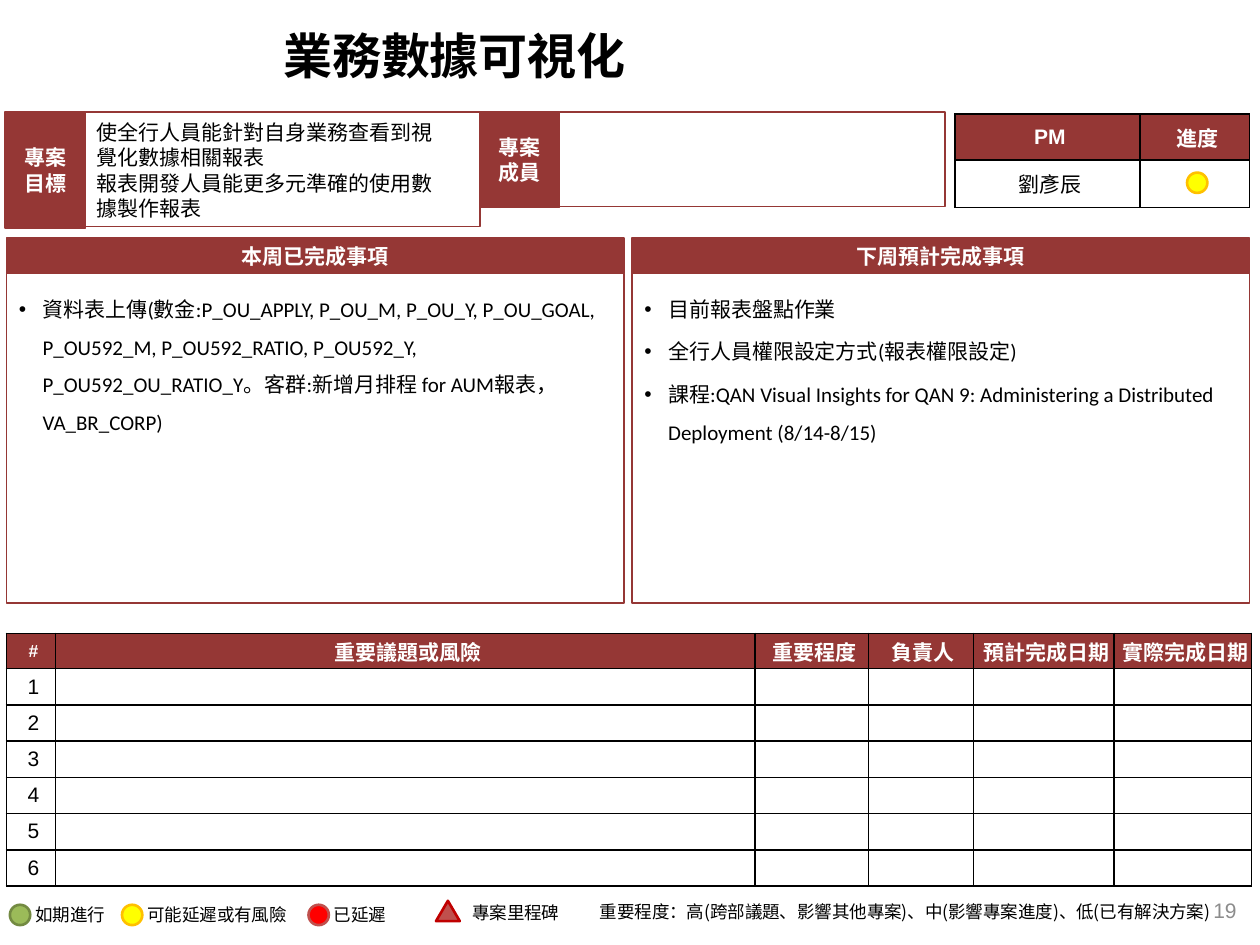
import pptx
import pptx.util
import pptx.dml.color
import pptx.enum.shapes
import pptx.enum.text
import pptx.oxml.ns
from lxml import etree

Cm = pptx.util.Cm
Pt = pptx.util.Pt
SHAPE = pptx.enum.shapes.MSO_SHAPE
ALIGN = pptx.enum.text.PP_ALIGN
ANCHOR = pptx.enum.text.MSO_ANCHOR
qn = pptx.oxml.ns.qn

BRICK, WHITE, BLACK = "953735", "FFFFFF", "000000"
CJK = "Noto Sans CJK SC"


def color(value):
    return pptx.dml.color.RGBColor.from_string(value)


def paint(fill, value):
    if value is None:
        fill.background()
    else:
        fill.solid()
        fill.fore_color.rgb = color(value)


def write(frame, lines, size=12, font="Arial", ink=BLACK, bold=False,
          align=ALIGN.LEFT, after=None, bullets=False):
    """Fill a text frame with one paragraph per line, all in one style."""
    frame.text = "\n".join(lines)
    for paragraph in frame.paragraphs:
        if bullets:
            add_bullet(paragraph)
            paragraph.line_spacing = 1.5
        paragraph.alignment = align
        if after is not None:
            paragraph.space_after = Pt(after)
        # Without runs the paragraph font still governs the row height
        for style in [run.font for run in paragraph.runs] or [paragraph.font]:
            style.size = Pt(size)
            style.name = font
            style.bold = bold
            style.color.rgb = color(ink)
        for run in paragraph.runs:
            latin = run.font._element.find(qn("a:latin"))
            east_asian = etree.Element(qn("a:ea"), typeface=CJK)
            latin.addnext(east_asian)


def add_bullet(paragraph):
    properties = paragraph._p.get_or_add_pPr()
    indent = Cm(0.48)
    properties.set("marL", str(indent))
    properties.set("indent", str(-indent))
    etree.SubElement(properties, qn("a:buFont"), typeface="Arial")
    etree.SubElement(properties, qn("a:buChar"), char="•")


def add_figure(slide, kind, left, top, width, height, fill, line, weight=0.75):
    figure = slide.shapes.add_shape(kind, Cm(left), Cm(top), Cm(width), Cm(height))
    figure.shadow.inherit = False
    paint(figure.fill, fill)
    figure.line.color.rgb = color(line)
    figure.line.width = Pt(weight)
    return figure


def add_text(slide, left, top, width, height, lines, anchor=ANCHOR.TOP,
             wrap=True, **style):
    box = slide.shapes.add_textbox(Cm(left), Cm(top), Cm(width), Cm(height))
    box.text_frame.word_wrap = wrap
    box.text_frame.vertical_anchor = anchor
    write(box.text_frame, lines, **style)
    return box


def add_label(slide, left, top, width, height, lines, after=0):
    label = add_figure(slide, SHAPE.RECTANGLE, left, top, width, height, BRICK, BRICK)
    frame = label.text_frame
    frame.vertical_anchor = ANCHOR.MIDDLE
    frame.margin_left = frame.margin_right = 0
    write(frame, lines, ink=WHITE, bold=True, align=ALIGN.CENTER, after=after)


def add_panel(slide, left, heading, items):
    add_label(slide, left, 4.8, 12.45, 0.72, [heading], after=2.8)
    body = add_figure(slide, SHAPE.RECTANGLE, left, 5.52, 12.45, 6.64, None, BRICK)
    frame = body.text_frame
    frame.word_wrap = True
    frame.vertical_anchor = ANCHOR.TOP
    frame.margin_left = frame.margin_right = Cm(0.25)
    frame.margin_top = frame.margin_bottom = Cm(0.2)
    write(frame, items, font="Calibri", after=2.8, bullets=True)


def add_light(slide, left, top, fill, line):
    add_figure(slide, SHAPE.OVAL, left, top, 0.41, 0.41, fill, line, 1.5)


def add_borders(cell):
    properties = cell._tc.get_or_add_tcPr()
    for place, side in enumerate(("a:lnL", "a:lnR", "a:lnT", "a:lnB")):
        border = etree.Element(qn(side), w=str(Pt(1)))
        fill = etree.SubElement(border, qn("a:solidFill"))
        etree.SubElement(fill, qn("a:srgbClr"), val=BLACK)
        properties.insert(place, border)


def add_grid(slide, left, top, widths, heights, rows, body_fill=None, small=()):
    """Table with a brick header row; header texts in small are set at 10 pt."""
    table = slide.shapes.add_table(
        len(rows), len(widths), Cm(left), Cm(top),
        Cm(sum(widths)), Cm(sum(heights))).table
    table.horz_banding = False
    for column, width in zip(table.columns, widths):
        column.width = Cm(width)
    for r, (row, height) in enumerate(zip(rows, heights)):
        table.rows[r].height = Cm(height)
        for c, text in enumerate(row):
            cell = table.cell(r, c)
            header = r == 0
            cell.margin_left = Cm(0.1)
            cell.margin_right = cell.margin_top = cell.margin_bottom = 0
            cell.vertical_anchor = ANCHOR.MIDDLE
            paint(cell.fill, BRICK if header else body_fill)
            add_borders(cell)
            write(cell.text_frame, [text], size=10 if text in small else 12,
                  ink=WHITE if header else BLACK, bold=header, align=ALIGN.CENTER)


def add_legend(slide):
    lights = [
        (0.2, 1.93, "如期進行", "9BBB59", "738A42"),
        (2.46, 3.35, "可能延遲或有風險", "FFFF00", "FFC000"),
        (6.22, 1.57, "已延遲", "FF0000", "C0504D"),
    ]
    for left, width, caption, fill, line in lights:
        add_light(slide, left, 18.24, fill, line)
        add_text(slide, left + 0.26, 18.1, width, 0.69, [caption], wrap=False, size=10)
    add_figure(slide, SHAPE.ISOSCELES_TRIANGLE, 8.79, 18.16, 0.48, 0.41,
               "C0504D", "C00000", 1.5)
    add_text(slide, 9.27, 18.06, 2.57, 0.69, ["專案里程碑"], size=10, font=CJK)
    note = add_text(
        slide, 11.84, 17.91, 13, 0.94,
        ["重要程度：高(跨部議題、影響其他專案)、中(影響專案進度)、低(已有解決方案)"],
        size=10, font=CJK)
    note.text_frame.margin_top = note.text_frame.margin_bottom = Cm(0.25)


def main():
    deck = pptx.Presentation()
    deck.slide_width, deck.slide_height = Cm(25.4), Cm(19.05)
    slide = deck.slides.add_slide(deck.slide_layouts[6])

    # Title and page number
    add_text(slide, 5.46, 0.23, 19.35, 1.75, ["業務數據可視化"],
             anchor=ANCHOR.MIDDLE, size=28, font=CJK, bold=True)
    add_text(slide, 19.46, 17.83, 5.72, 1.02, ["19"], anchor=ANCHOR.MIDDLE,
             ink="8C8C8C", align=ALIGN.RIGHT)

    # Project goal and members
    add_label(slide, 0.1, 2.26, 1.63, 2.34, ["專案", "目標"])
    add_figure(slide, SHAPE.RECTANGLE, 1.73, 2.26, 7.95, 2.31, None, BRICK)
    add_text(slide, 1.7, 2.29, 7.47, 2.31,
             ["使全行人員能針對自身業務查看到視覺化數據相關報表",
              "報表開發人員能更多元準確的使用數據製作報表"])
    add_label(slide, 9.68, 2.26, 1.6, 1.93, ["專案", "成員"])
    add_figure(slide, SHAPE.RECTANGLE, 11.28, 2.26, 7.77, 1.9, None, BRICK)

    # Project manager and progress
    add_grid(slide, 19.25, 2.3, [3.73, 2.21], [0.93, 0.95],
             [["PM", "進度"], ["劉彥辰", ""]], body_fill=WHITE)
    add_light(slide, 23.93, 3.48, "FFFF00", "FFC000")

    # Work done this week and planned for next week
    add_panel(slide, 0.13, "本周已完成事項", [
        "資料表上傳(數金:P_OU_APPLY, P_OU_M, P_OU_Y, P_OU_GOAL, P_OU592_M, "
        "P_OU592_RATIO, P_OU592_Y, P_OU592_OU_RATIO_Y。客群:新增月排程 for AUM報表，"
        "VA_BR_CORP)"])
    add_panel(slide, 12.74, "下周預計完成事項", [
        "目前報表盤點作業",
        "全行人員權限設定方式(報表權限設定)",
        "課程:QAN Visual Insights for QAN 9: Administering a Distributed "
        "Deployment (8/14-8/15)"])

    # Issues and risks
    headings = ["#", "重要議題或風險", "重要程度", "負責人", "預計完成日期", "實際完成日期"]
    issues = [[str(number)] + [""] * 5 for number in range(1, 7)]
    add_grid(slide, 0.13, 12.77, [0.99, 14.1, 2.29, 2.11, 2.84, 2.77],
             [0.71] + [0.73] * 6, [headings] + issues, small=("#",))

    add_legend(slide)
    deck.save("out.pptx")


if __name__ == "__main__":
    main()
